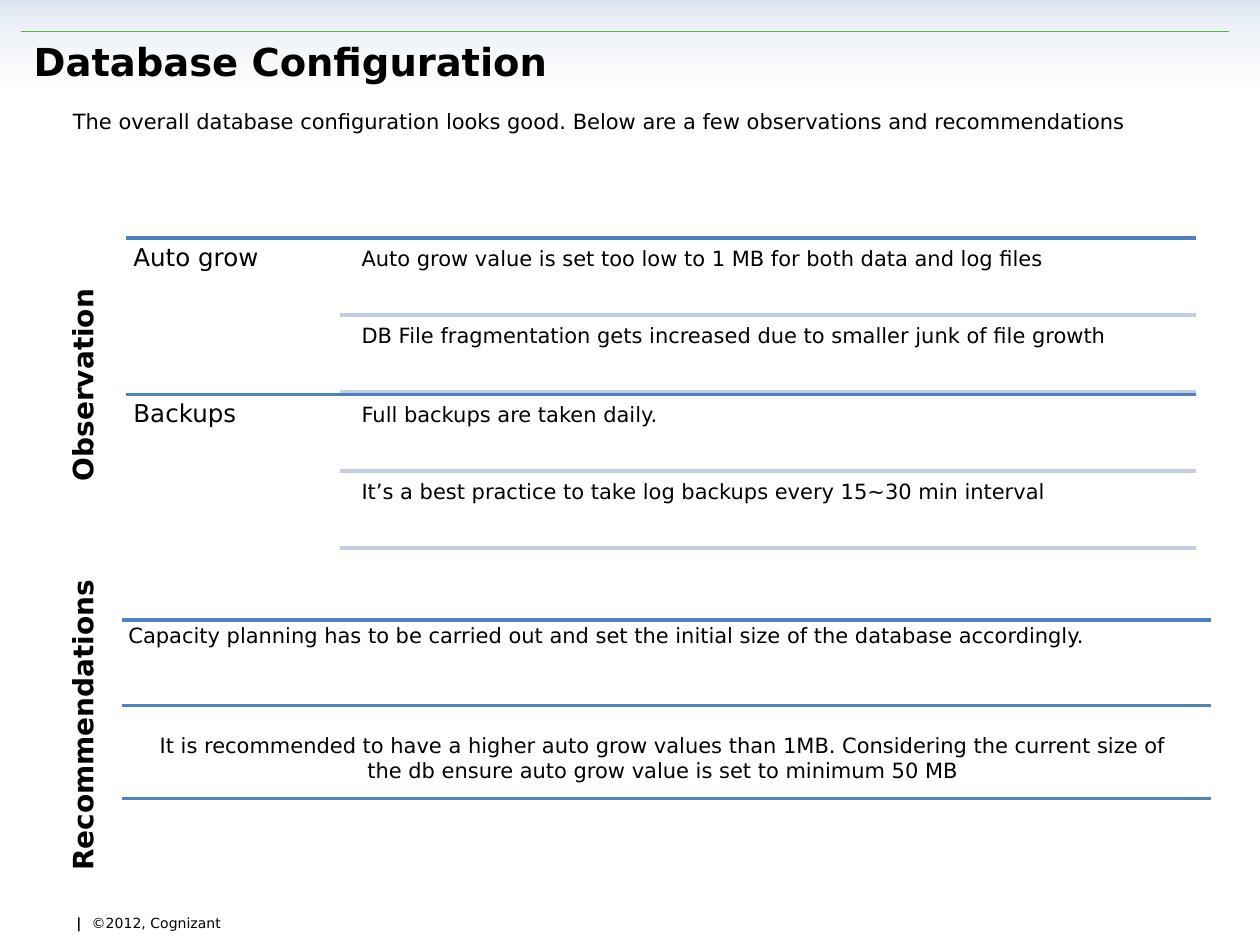
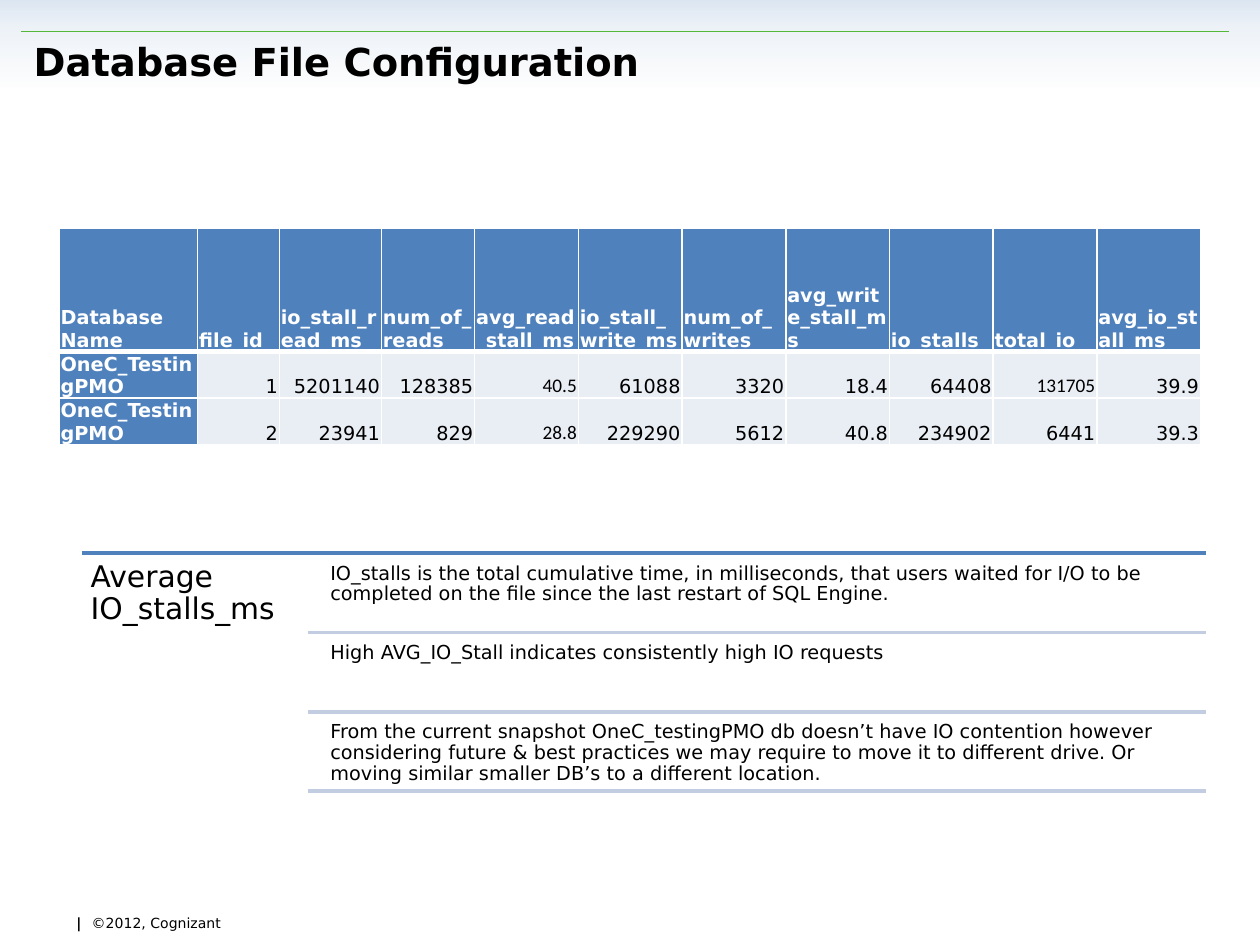
from dataclasses import dataclass

from lxml import etree
from pptx import Presentation
from pptx.dml.color import RGBColor
from pptx.enum.shapes import MSO_CONNECTOR, MSO_SHAPE
from pptx.enum.text import MSO_ANCHOR, MSO_AUTO_SIZE, PP_ALIGN
from pptx.oxml import parse_xml
from pptx.oxml.ns import nsdecls, qn
from pptx.slide import Slide
from pptx.util import Cm, Pt

LEFT, CENTER, RIGHT = PP_ALIGN.LEFT, PP_ALIGN.CENTER, PP_ALIGN.RIGHT
TOP, MIDDLE, BOTTOM = MSO_ANCHOR.TOP, MSO_ANCHOR.MIDDLE, MSO_ANCHOR.BOTTOM
NO_AUTOFIT = MSO_AUTO_SIZE.NONE
RECTANGLE = MSO_SHAPE.RECTANGLE
STRAIGHT = MSO_CONNECTOR.STRAIGHT
TITLE_ONLY = 5


@dataclass(frozen=True)
class Theme:
    font: str = "DejaVu Sans"
    number_font: str = "Calibri"
    ink: str = "000000"
    paper: str = "FFFFFF"
    accent: str = "4F81BD"
    soft_rule: str = "C2CDE1"
    body_cell: str = "E9EDF4"
    green: str = "55B738"
    band: tuple = ((0, "B9CDE5"), (25, "DCE6F2"), (84, "FFFFFF"))
    title: float = 22
    side: float = 16
    text: float = 12
    small: float = 11
    footer: float = 8
    rule: float = 2


THEME = Theme()


# All positions and lengths in the records below are centimetres.
@dataclass(frozen=True)
class Frame:
    left: float
    top: float
    width: float
    height: float

    def lengths(self) -> tuple:
        return Cm(self.left), Cm(self.top), Cm(self.width), Cm(self.height)


@dataclass(frozen=True)
class TextStyle:
    size: float = THEME.text
    bold: bool = False
    align: PP_ALIGN = LEFT
    anchor: MSO_ANCHOR = TOP
    inset_x: float = 0.25
    inset_y: float = 0.13
    spacing: float = 1.0
    color: str = THEME.ink
    font: str = THEME.font


@dataclass(frozen=True)
class OutlineStyle:
    """Geometry of a topic label with ruled details to its right."""
    left: float
    right: float
    label_width: float
    text_offset: float
    detail_height: float
    label: TextStyle
    detail: TextStyle
    gap: float = 0.08


@dataclass(frozen=True)
class Topic:
    label: str
    details: tuple


@dataclass(frozen=True)
class SideHeading:
    text: str
    center_y: float
    length: float


# Slide 1 content
INTRO = "The overall database configuration looks good. Below are a few observations and recommendations"
OBSERVATION_STYLE = OutlineStyle(
    2.54, 24.1, 4.32, 0.3, 1.47,
    TextStyle(14, inset_x=0.15, inset_y=0.15, spacing=0.9),
    TextStyle(inset_x=0.13, spacing=0.9))
OBSERVATIONS = (
    Topic("Auto grow", (
        "Auto grow value is set too low to 1 MB for both data and log files",
        "DB File fragmentation gets increased due to smaller junk of file growth")),
    Topic("Backups", (
        "Full backups are taken daily.",
        "It’s a best practice to take log backups every 15~30 min interval")),
)
OBSERVATIONS_TOP, TOPIC_PITCH = 4.8, 3.15
SIDE_HEADINGS = (SideHeading("Recommendations", 14.62, 6.38),
                 SideHeading("Observation", 7.76, 5.94))
SIDE_CENTER_X, SIDE_THICKNESS = 1.66, 0.94
RECOMMENDATION_RULES = (12.5, 14.22, 16.1)
RECOMMENDATIONS = (
    (Frame(2.46, 12.47, 21.95, 1.32), TextStyle(inset_x=0.13, spacing=0.9),
     "Capacity planning has to be carried out and set the initial size of the database accordingly."),
    (Frame(2.9, 14.63, 20.93, 1.8), TextStyle(align=CENTER),
     "It is recommended to have a higher auto grow values than 1MB. Considering the current "
     "size of the db ensure auto grow value is set to minimum 50 MB"),
)

# Slide 2 content
STALL_STYLE = OutlineStyle(
    1.65, 24.31, 4.55, 0.33, 1.52,
    TextStyle(17, inset_x=0.18, inset_y=0.18, spacing=0.9),
    TextStyle(THEME.small, inset_x=0.13, spacing=0.9))
STALL_TOPIC = Topic("Average IO_stalls_ms", (
    "IO_stalls is the total cumulative time, in milliseconds, that users waited for I/O to be "
    "completed on the file since the last restart of SQL Engine.",
    "High AVG_IO_Stall indicates consistently high IO requests",
    "From the current snapshot OneC_testingPMO db doesn’t have IO contention however considering "
    "future & best practices we may require to move it to different drive. "
    "Or moving similar smaller DB’s to a different location."))
FILE_STATS = (
    ("Database Name", "file_id", "io_stall_read_ms", "num_of_reads", "avg_read_stall_ms",
     "io_stall_write_ms", "num_of_writes", "avg_write_stall_ms", "io_stalls", "total_io",
     "avg_io_stall_ms"),
    ("OneC_TestingPMO", "1", "5201140", "128385", "40.5", "61088", "3320", "18.4", "64408",
     "131705", "39.9"),
    ("OneC_TestingPMO", "2", "23941", "829", "28.8", "229290", "5612", "40.8", "234902",
     "6441", "39.3"),
)
STATS_FRAME = Frame(1.19, 4.6, 23.01, 4.35)
STATS_COLUMNS = (2.79, 1.65, 2.06, 1.88) + (2.09,) * 7
STATS_ROWS = (2.49, 0.93, 0.93)
NUMBER_FONT_CELLS = {(1, 4), (2, 4), (1, 9)}


# Drawing helpers
def rgb(color: str) -> RGBColor:
    return RGBColor.from_string(color)


def format_text(holder, text: str, style: TextStyle) -> None:
    """Fill a shape or placeholder with one formatted paragraph."""
    frame = holder.text_frame
    frame.word_wrap = True
    frame.auto_size = NO_AUTOFIT
    frame.vertical_anchor = style.anchor
    frame.margin_left = frame.margin_right = Cm(style.inset_x)
    frame.margin_top = frame.margin_bottom = Cm(style.inset_y)
    frame.text = text
    format_paragraph(frame.paragraphs[0], style)


def format_paragraph(para, style: TextStyle) -> None:
    para.alignment = style.align
    para.line_spacing = style.spacing
    para.space_before = Pt(0)
    for span in para.runs:
        span.font.name = style.font
        span.font.size = Pt(style.size)
        span.font.bold = style.bold
        span.font.color.rgb = rgb(style.color)


def add_text(page: Slide, frame: Frame, text: str, style: TextStyle):
    box = page.shapes.add_textbox(*frame.lengths())
    format_text(box, text, style)
    return box


def add_rule(page: Slide, left: float, right: float, y: float, color: str,
             weight: float = THEME.rule) -> None:
    rule = page.shapes.add_connector(STRAIGHT, Cm(left), Cm(y), Cm(right), Cm(y))
    rule.line.color.rgb = rgb(color)
    rule.line.width = Pt(weight)
    etree.SubElement(rule.element.spPr, qn("a:effectLst"))


def add_topic(page: Slide, topic: Topic, top: float, style: OutlineStyle) -> None:
    pitch = style.detail_height + style.gap
    detail_left = style.left + style.label_width
    text_left = detail_left + style.text_offset
    add_rule(page, style.left, style.right, top, THEME.accent)
    label_frame = Frame(style.left, top, style.label_width, pitch * len(topic.details))
    add_text(page, label_frame, topic.label, style.label)
    for index, detail in enumerate(topic.details):
        detail_top = top + style.gap + index * pitch
        frame = Frame(text_left, detail_top, style.right - text_left, style.detail_height)
        add_text(page, frame, detail, style.detail)
        add_rule(page, detail_left, style.right, detail_top + style.detail_height,
                 THEME.soft_rule)


def add_band(page: Slide) -> None:
    band = page.shapes.add_shape(RECTANGLE, *Frame(0, 0, 25.4, 2.11).lengths())
    band.shadow.inherit = False
    band.line.fill.background()
    stops = "".join(
        f'<a:gs pos="{position * 1000}"><a:srgbClr val="{color}">'
        '<a:alpha val="50000"/></a:srgbClr></a:gs>' for position, color in THEME.band)
    gradient = parse_xml(f'<a:gradFill {nsdecls("a")}><a:gsLst>{stops}</a:gsLst>'
                         '<a:lin ang="5400000" scaled="0"/></a:gradFill>')
    band.element.spPr.find(qn("a:prstGeom")).addnext(gradient)
    page.shapes.title.element.addprevious(band.element)


def add_footer(page: Slide) -> None:
    box = add_text(page, Frame(0.64, 17.93, 14.4, 0.64), "|\t",
                   TextStyle(THEME.footer, bold=True, inset_x=0.9, inset_y=0.2, spacing=1.9))
    para = box.text_frame.paragraphs[0]
    tabs = etree.SubElement(para._p.get_or_add_pPr(), qn("a:tabLst"))
    etree.SubElement(tabs, qn("a:tab"), pos=str(Cm(0.31)), algn="l")
    span = para.add_run()
    span.text = "©2012, Cognizant"
    format_paragraph(para, TextStyle(THEME.footer, spacing=1.9))
    para.runs[0].font.bold = True


def add_page(deck, title: str) -> Slide:
    page = deck.slides.add_slide(deck.slide_layouts[TITLE_ONLY])
    heading = page.shapes.title
    heading.left, heading.top, heading.width, heading.height = Frame(
        0.43, 0.64, 23.93, 1.19).lengths()
    format_text(heading, title, TextStyle(THEME.title, bold=True, anchor=MIDDLE))
    add_band(page)
    add_footer(page)
    add_rule(page, 0.43, 24.77, 0.64, THEME.green, 0.75)
    return page


def set_borders(cell, row: int) -> None:
    """White grid, with a heavier edge under the header row."""
    weights = {"lnL": 1, "lnR": 1, "lnT": 3 if row == 1 else 1, "lnB": 3 if row == 0 else 1}
    properties = cell._tc.get_or_add_tcPr()
    for edge, weight in weights.items():
        properties.append(parse_xml(
            f'<a:{edge} {nsdecls("a")} w="{Pt(weight)}"><a:solidFill>'
            f'<a:srgbClr val="{THEME.paper}"/></a:solidFill></a:{edge}>'))


def add_stats_table(page: Slide) -> None:
    table = page.shapes.add_table(len(STATS_ROWS), len(STATS_COLUMNS),
                                  *STATS_FRAME.lengths()).table
    table.horz_banding = False
    for column, width in zip(table.columns, STATS_COLUMNS):
        column.width = Cm(width)
    for row, height in zip(table.rows, STATS_ROWS):
        row.height = Cm(height)
    for row, values in enumerate(FILE_STATS):
        for column, value in enumerate(values):
            cell = table.cell(row, column)
            heading = row == 0 or column == 0
            set_borders(cell, row)
            cell.fill.solid()
            cell.fill.fore_color.rgb = rgb(THEME.accent if heading else THEME.body_cell)
            cell.vertical_anchor = BOTTOM
            cell.margin_left = cell.margin_right = cell.margin_top = Cm(0.03)
            cell.margin_bottom = Cm(0)
            cell.text_frame.text = value
            format_paragraph(cell.text_frame.paragraphs[0], TextStyle(
                THEME.small, bold=heading, align=LEFT if heading else RIGHT,
                color=THEME.paper if heading else THEME.ink,
                font=THEME.number_font if (row, column) in NUMBER_FONT_CELLS else THEME.font))


# Slides
def build_configuration(deck) -> None:
    page = add_page(deck, "Database Configuration")
    add_text(page, Frame(1.22, 2.06, 22.61, 0.76), INTRO, TextStyle())
    for index, topic in enumerate(OBSERVATIONS):
        add_topic(page, topic, OBSERVATIONS_TOP + index * TOPIC_PITCH, OBSERVATION_STYLE)
    for y in RECOMMENDATION_RULES:
        add_rule(page, 2.46, 24.41, y, THEME.accent)
    for frame, style, text in RECOMMENDATIONS:
        add_text(page, frame, text, style)
    for side in SIDE_HEADINGS:
        frame = Frame(SIDE_CENTER_X - side.length / 2, side.center_y - SIDE_THICKNESS / 2,
                      side.length, SIDE_THICKNESS)
        box = add_text(page, frame, side.text, TextStyle(THEME.side, bold=True, align=CENTER))
        box.rotation = 270


def build_file_configuration(deck) -> None:
    page = add_page(deck, "Database File Configuration")
    add_topic(page, STALL_TOPIC, 11.15, STALL_STYLE)
    add_stats_table(page)


def main() -> None:
    deck = Presentation()
    deck.slide_width, deck.slide_height = Cm(25.4), Cm(19.05)
    build_configuration(deck)
    build_file_configuration(deck)
    deck.save("out.pptx")


if __name__ == "__main__":
    main()
